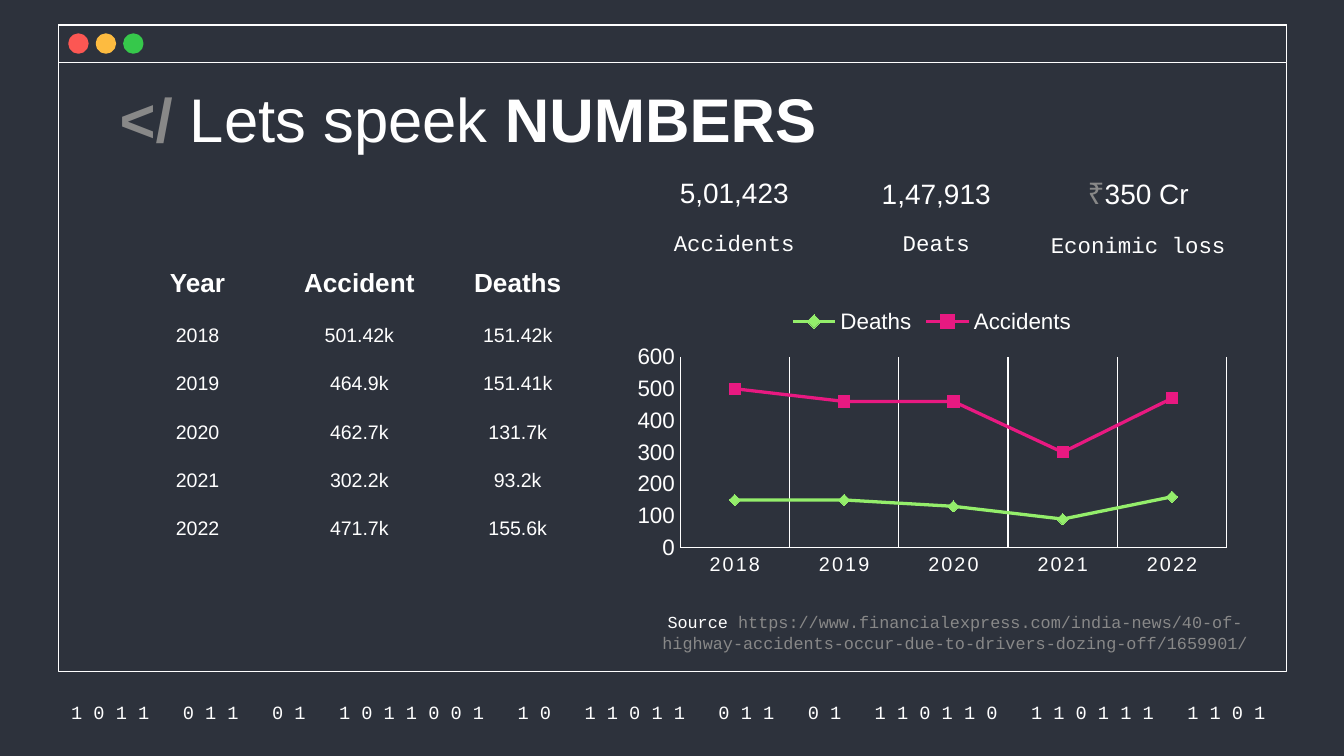
import pptx
import pptx.chart.data
import pptx.dml.color
import pptx.enum.chart
import pptx.enum.shapes
import pptx.enum.text
import pptx.oxml
import pptx.oxml.ns
import pptx.util

Pt = pptx.util.Pt
ALIGN = pptx.enum.text.PP_ALIGN
ANCHOR = pptx.enum.text.MSO_ANCHOR
SHAPE = pptx.enum.shapes.MSO_SHAPE
COLORS = {
    name: pptx.dml.color.RGBColor.from_string(value)
    for name, value in {
        "background": "2D323C", "white": "FFFFFF", "gray": "888888",
        "red": "FC5753", "yellow": "FDBB40", "green": "36C84B",
        "deaths": "94EE6B", "accidents": "E81981",
    }.items()
}

deck = pptx.Presentation()
deck.slide_width, deck.slide_height = Pt(720), Pt(405)
slide = deck.slides.add_slide(deck.slide_layouts[5])
slide.background.fill.solid()
slide.background.fill.fore_color.rgb = COLORS["background"]


def add_panel(kind, left, top, width, height, fill, line, weight):
    panel = slide.shapes.add_shape(kind, Pt(left), Pt(top), Pt(width), Pt(height))
    panel.shadow.inherit = False
    panel.fill.solid()
    panel.fill.fore_color.rgb = COLORS[fill]
    panel.line.color.rgb = COLORS[line]
    panel.line.width = Pt(weight)


def add_label(left, top, width, height, font, size, runs):
    """Add a centred text box; runs are (text, colour name) pairs."""
    label = slide.shapes.add_textbox(Pt(left), Pt(top), Pt(width), Pt(height))
    frame = label.text_frame
    frame.word_wrap = True
    frame.vertical_anchor = ANCHOR.MIDDLE
    frame.margin_top = frame.margin_bottom = Pt(7.2)
    paragraph = frame.paragraphs[0]
    paragraph.alignment = ALIGN.CENTER
    paragraph.font.name, paragraph.font.size = font, Pt(size)
    for text, color in runs:
        run = paragraph.add_run()
        run.text = text
        run.font.color.rgb = COLORS[color]
    return paragraph


# Window frame with its buttons, and the binary footer
for height in (346.3, 20):
    add_panel(SHAPE.RECTANGLE, 31.3, 13.5, 658.1, height, "background", "white", 0.75)
for i, color in enumerate(("red", "yellow", "green")):
    add_panel(SHAPE.OVAL, 37.6 + 14.7 * i, 18.9, 8.9, 8.9, color, color, 2)
add_label(27.2, 374.4, 667.4, 14.4, "Courier New", 10, [(
    "1 0 1 1   0 1 1   0 1   1 0 1 1 0 0 1   1 0   1 1 0 1 1   0 1 1   0 1   "
    "1 1 0 1 1 0   1 1 0 1 1 1   1 1 0 1 ", "white")])

# Title, brought in front of the window frame
title = slide.shapes.title
slide.shapes._spTree.append(title._element)
title.left, title.top, title.width, title.height = Pt(56.9), Pt(36), Pt(607), Pt(45.4)
heading = title.text_frame
heading.auto_size = pptx.enum.text.MSO_AUTO_SIZE.NONE
heading.word_wrap = True
heading.vertical_anchor = ANCHOR.TOP
heading.margin_top = heading.margin_bottom = Pt(7.2)
heading_line = heading.paragraphs[0]
heading_line.alignment = ALIGN.LEFT
heading_line.font.name, heading_line.font.size = "Arial", Pt(33)
for text, color, bold in (("</ ", "gray", True), ("Lets speek ", "white", False),
                          ("NUMBERS", "white", True)):
    run = heading_line.add_run()
    run.text = text
    run.font.bold = bold
    run.font.color.rgb = COLORS[color]

# Yearly table
header = ("Year", "Accident", "Deaths")
yearly = (
    ("2018", "501.42k", "151.42k"),
    ("2019", "464.9k", "151.41k"),
    ("2020", "462.7k", "131.7k"),
    ("2021", "302.2k", "93.2k"),
    ("2022", "471.7k", "155.6k"),
)
table_frame = slide.shapes.add_table(6, 3, Pt(61.2), Pt(140.4), Pt(259.2), Pt(155.5))
table = table_frame.table
table.first_row = table.horz_banding = False
# "No Style, No Grid"
table_frame._element.xpath(".//a:tableStyleId")[0].text = "{2D5ABB26-0587-4C30-8999-92F81FD0307C}"
for column, width in zip(table.columns, (89.3, 84.1, 85.6)):
    column.width = Pt(width)
for row, height in zip(table.rows, (28.1, 23, 28.1, 24.5, 27.2, 24.3)):
    row.height = Pt(height)
for r, values in enumerate((header, *yearly)):
    for c, value in enumerate(values):
        cell = table.cell(r, c)
        cell.fill.background()
        cell.vertical_anchor = ANCHOR.MIDDLE if r else ANCHOR.TOP
        cell.margin_top = cell.margin_bottom = Pt(0 if r else 3.6)
        cell.text = value
        paragraph = cell.text_frame.paragraphs[0]
        paragraph.alignment = ALIGN.CENTER
        paragraph.font.name = "Arial"
        paragraph.font.size = Pt(10.5 if r else 14)
        paragraph.font.bold = r == 0
        paragraph.font.color.rgb = COLORS["white"]

# Key figures
add_label(339.4, 87.1, 108, 31.7, "Arial", 15, [("5,01,423", "white")])
add_label(447.6, 87.8, 108, 31.7, "Arial", 15, [("1,47,913", "white")])
loss = add_label(555.8, 87.1, 108, 31.7, "Arial", 15, [("₹", "gray"), ("350 Cr", "white")])
loss.runs[0].font.size = Pt(16)
for left, top, width, caption in ((339.4, 119.1, 108, "Accidents"),
                                  (447.6, 119.1, 108, "Deats"),
                                  (548.9, 120.2, 121.7, "Econimic loss")):
    add_label(left, top, width, 21.6, "Courier New", 12, [(caption, "white")])

# Source
add_label(339.4, 325, 344.2, 27.4, "Courier New", 9, [
    ("Source ", "white"),
    ("https://www.financialexpress.com/india-news/40-of-highway-accidents-occur-"
     "due-to-drivers-dozing-off/1659901/", "gray")])

# Line chart of the yearly table, rounded to tens of thousands
years, accidents, deaths = zip(*yearly)
chart_data = pptx.chart.data.CategoryChartData()
chart_data.categories = years
for name, counts in (("Deaths", deaths), ("Accidents", accidents)):
    chart_data.add_series(name, [round(float(count.rstrip("k")), -1) for count in counts])
chart = slide.shapes.add_chart(
    pptx.enum.chart.XL_CHART_TYPE.LINE_MARKERS,
    Pt(334.8), Pt(157.7), Pt(329), Pt(152.6), chart_data).chart
chart.has_title = False
chart.font.name, chart.font.size = "Arial", Pt(10)
chart.font.color.rgb = COLORS["white"]
chart.has_legend = True
chart.legend.position = pptx.enum.chart.XL_LEGEND_POSITION.TOP
chart.legend.include_in_layout = False
years_axis, counts_axis = chart.category_axis, chart.value_axis
for axis, size in ((years_axis, 10.6), (counts_axis, 12)):
    axis.major_tick_mark = axis.minor_tick_mark = pptx.enum.chart.XL_TICK_MARK.NONE
    axis.format.line.color.rgb = COLORS["white"]
    axis.format.line.width = Pt(0.75)
    axis.tick_labels.font.size = Pt(size)
for font in (chart.legend.font, years_axis.tick_labels.font, counts_axis.tick_labels.font):
    font.name = "Arial"
    font.color.rgb = COLORS["white"]
chart.legend.font.size = Pt(12)
years_axis._element.xpath(".//a:defRPr")[0].set("spc", "120")
years_axis.has_major_gridlines = True
years_axis.major_gridlines.format.line.color.rgb = COLORS["white"]
years_axis.major_gridlines.format.line.width = Pt(0.75)
counts_axis.has_major_gridlines = False
counts_axis.minimum_scale, counts_axis.maximum_scale = 0, 600
counts_axis.major_unit = 100

MARKER = pptx.enum.chart.XL_MARKER_STYLE
plot = chart.plots[0]
plot.vary_by_categories = False
for series, color, marker in zip(plot.series, ("deaths", "accidents"),
                                 (MARKER.DIAMOND, MARKER.SQUARE)):
    series.smooth = False
    series.format.line.color.rgb = COLORS[color]
    series.format.line.width = Pt(1.75)
    series.marker.style, series.marker.size = marker, 6
    series.marker.format.fill.solid()
    series.marker.format.fill.fore_color.rgb = COLORS[color]
    series.marker.format.line.color.rgb = COLORS[color]

plot_area = chart._chartSpace.xpath(".//c:plotArea")[0]
for layout in plot_area.xpath("./c:layout"):
    plot_area.remove(layout)
plot_area.insert(0, pptx.oxml.parse_xml(
    f'<c:layout {pptx.oxml.ns.nsdecls("c")}><c:manualLayout>'
    '<c:layoutTarget val="inner"/><c:xMode val="edge"/><c:yMode val="edge"/>'
    '<c:x val="0.09"/><c:y val="0.22"/><c:w val="0.89"/><c:h val="0.67"/>'
    '</c:manualLayout></c:layout>'))

deck.save("out.pptx")
